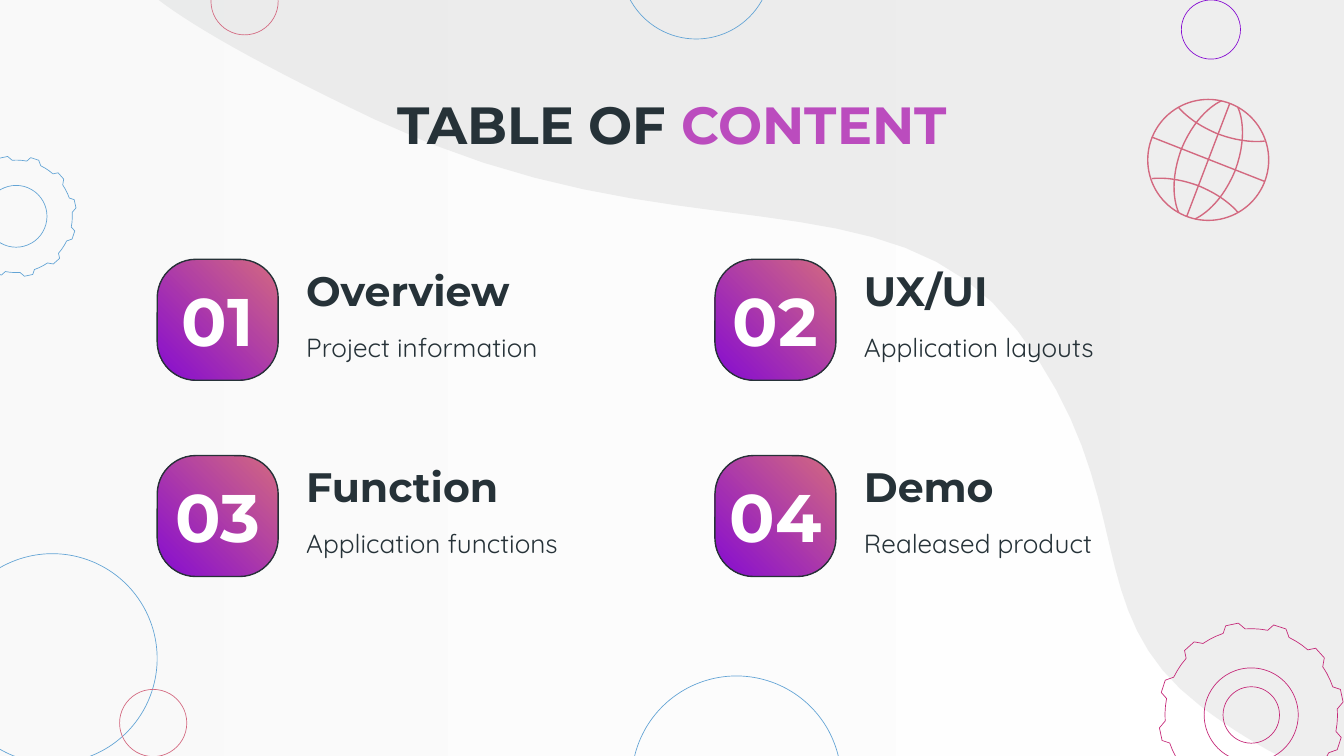
from math import cos, radians, sin

from lxml import etree
from pptx import Presentation
from pptx.dml.color import RGBColor
from pptx.enum.shapes import MSO_CONNECTOR, MSO_SHAPE
from pptx.enum.text import MSO_ANCHOR, MSO_AUTO_SIZE, PP_ALIGN
from pptx.oxml.ns import qn
from pptx.util import Inches, Pt

OVAL, RECT, ROUNDED = MSO_SHAPE.OVAL, MSO_SHAPE.RECTANGLE, MSO_SHAPE.ROUNDED_RECTANGLE
STRAIGHT = MSO_CONNECTOR.STRAIGHT
LEFT, CENTER = PP_ALIGN.LEFT, PP_ALIGN.CENTER
MIDDLE, NO_FIT = MSO_ANCHOR.MIDDLE, MSO_AUTO_SIZE.NONE

INK = RGBColor(0x26, 0x32, 0x38)
WHITE = RGBColor(0xFF, 0xFF, 0xFF)
PALE = RGBColor(0xF3, 0xF3, 0xF3)
GREY = RGBColor(0xD6, 0xD7, 0xD7)
ORCHID = RGBColor(0xBB, 0x4C, 0xBE)
BLUE = RGBColor(0x63, 0xA4, 0xD5)
PURPLE = RGBColor(0x86, 0x0C, 0xD1)
ROSE = RGBColor(0xD3, 0x69, 0x80)
MAGENTA = RGBColor(0xC5, 0x28, 0x78)

HEADING, BODY = "Montserrat", "Quicksand"
WIDTH = 10
HEIGHT = WIDTH * 9 / 16
THIN, MEDIUM = 0.36, 0.75
ALPHA = 41

TITLE = [("TABLE OF ", INK), ("CONTENT", ORCHID)]
TOPICS = [
    ("01", "Overview", "Project information"),
    ("02", "UX/UI", "Application layouts"),
    ("03", "Function", "Application functions"),
    ("04", "Demo", "Realeased product"),
]
COLUMNS, GRID_LEFT, GRID_TOP = 2, 1.17, 1.93
COLUMN_STEP, ROW_STEP = 4.15, 1.46
BADGE, TEXT_OFFSET, TEXT_WIDTH = 0.9, 1.01, 2.82

# centre x, centre y, radius, colour
CIRCLES = [
    (0.39, 4.9, 0.78, BLUE), (9.01, 0.22, 0.22, PURPLE),
    (1.82, 0.01, 0.25, ROSE), (5.18, -0.27, 0.56, BLUE),
    (5.48, 5.81, 0.78, BLUE), (1.14, 5.38, 0.25, ROSE),
]
# centre x, centre y, outer radius, radii of the inner rings, colour
GEARS = [
    (0.12, 1.61, 0.45, [0.23], BLUE),
    (9.31, 5.32, 0.69, [0.35, 0.21], MAGENTA),
]
TEETH, ROOT_SHARE = 12, 0.93
# degrees within one tooth, and whether the point lies on the tip
TOOTH = [(4, False), (8, True), (16, True), (19, False), (24, False), (29, False)]

# cubic curves: start, two controls, end
WAVE = [
    [(10.13, 5.88), (9.81, 5.78), (9.39, 5.6), (8.94, 5.26)],
    [(8.94, 5.26), (8, 4.55), (8.51, 3.69), (7.57, 2.46)],
    [(7.57, 2.46), (6.62, 1.23), (5.02, 1.95), (2.79, 0.89)],
    [(2.79, 0.89), (1.76, 0.4), (1.28, 0.1), (1.07, -0.09)],
]
GLOBE = (8.99, 1.19)
GLOBE_RADIUS = 0.45
GLOBE_AXES = [[(9.15, 0.77), (8.83, 1.61)], [(8.57, 1.02), (9.41, 1.35)]]
GLOBE_CURVES = [
    [[(8.77, 1.58), (8.77, 1.58), (8.68, 1.41), (8.79, 1.11)],
     [(8.79, 1.11), (8.91, 0.82), (9.09, 0.75), (9.09, 0.75)]],
    [[(9.21, 1.58), (9.16, 1.52), (9.06, 1.44), (8.91, 1.38)],
     [(8.91, 1.38), (8.77, 1.33), (8.65, 1.32), (8.57, 1.33)]],
]


def curve_points(curves, steps=16):
    """Return points along a chain of cubic curves."""
    points = [curves[0][0]]
    for curve in curves:
        for step in range(1, steps + 1):
            t = step / steps
            weights = ((1 - t) ** 3, 3 * t * (1 - t) ** 2, 3 * t * t * (1 - t), t ** 3)
            points.append(tuple(sum(w * p[axis] for w, p in zip(weights, curve))
                                for axis in (0, 1)))
    return points


def style(shape, line=None, width=THIN):
    """Leave the shape unfilled, with an outline only where a colour is given."""
    shape.shadow.inherit = False
    shape.fill.background()
    if line is None:
        shape.line.fill.background()
    else:
        shape.line.color.rgb = line
        shape.line.width = Pt(width)
    return shape


def add_shape(page, kind, left, top, width, height, line=None, weight=THIN):
    box = page.shapes.add_shape(kind, Inches(left), Inches(top), Inches(width), Inches(height))
    return style(box, line, weight)


def add_circle(page, x, y, radius, color, weight=THIN):
    add_shape(page, OVAL, x - radius, y - radius, 2 * radius, 2 * radius, color, weight)


def add_outline(page, points, line=None, weight=THIN, close=True):
    start, *rest = [(Inches(x), Inches(y)) for x, y in points]
    builder = page.shapes.build_freeform(*start, scale=1.0)
    builder.add_line_segments(rest, close=close)
    return style(builder.convert_to_shape(), line, weight)


def set_gradient(shape, colors, angle):
    shape.fill.gradient()
    shape.fill.gradient_angle = angle
    for stop, color in zip(shape.fill.gradient_stops, colors):
        stop.color.rgb = color


def set_fill_alpha(shape):
    properties = shape.element.spPr
    for kind in ("a:solidFill", "a:gradFill"):
        for fill in properties.findall(qn(kind)):
            for color in fill.iter(qn("a:srgbClr")):
                etree.SubElement(color, qn("a:alpha"), val=str(ALPHA * 1000))


def write(box, spans, size, font, bold=True, align=LEFT, wrap=True):
    frame = box.text_frame
    frame.auto_size = NO_FIT
    frame.word_wrap = wrap
    frame.vertical_anchor = MIDDLE
    frame.margin_left = frame.margin_right = Inches(0.1)
    frame.margin_top = frame.margin_bottom = Inches(0.1)
    para = frame.paragraphs[0]
    para.alignment = align
    for text, color in spans:
        span = para.add_run()
        span.text = text
        span.font.size, span.font.name, span.font.bold = Pt(size), font, bold
        span.font.color.rgb = color


def add_text(page, left, top, height, text, size, font, bold):
    box = page.shapes.add_textbox(Inches(left), Inches(top), Inches(TEXT_WIDTH), Inches(height))
    write(box, [(text, INK)], size, font, bold)


def add_background(page):
    wash = add_shape(page, RECT, 0, 0, WIDTH, HEIGHT)
    set_gradient(wash, (WHITE, PALE), 180)
    set_fill_alpha(wash)
    corner = [(1.07, -0.25), (10.28, -0.25), (10.28, 5.88)]
    wave = add_outline(page, corner + curve_points(WAVE))
    wave.fill.solid()
    wave.fill.fore_color.rgb = GREY
    set_fill_alpha(wave)


def add_gear(page, x, y, radius, rings, color):
    points = []
    for tooth in range(TEETH):
        for degrees, on_tip in TOOTH:
            angle = radians(tooth * 360 / TEETH + degrees)
            reach = radius if on_tip else radius * ROOT_SHARE
            points.append((x + reach * cos(angle), y - reach * sin(angle)))
    add_outline(page, points, color)
    for ring in rings:
        add_circle(page, x, y, ring, color)


def add_globe(page):
    add_circle(page, *GLOBE, GLOBE_RADIUS, ROSE, MEDIUM)
    for start, end in GLOBE_AXES:
        axis = page.shapes.add_connector(STRAIGHT, *map(Inches, start + end))
        axis.line.color.rgb = ROSE
        axis.line.width = Pt(MEDIUM)
        etree.SubElement(axis.element.spPr, qn("a:effectLst"))
    for curves in GLOBE_CURVES:
        points = curve_points(curves)
        mirrored = [(2 * GLOBE[0] - x, 2 * GLOBE[1] - y) for x, y in points]
        for side in (points, mirrored):
            add_outline(page, side, ROSE, MEDIUM, close=False)


def add_topic(page, index, number, name, detail):
    row, column = divmod(index, COLUMNS)
    left, top = GRID_LEFT + column * COLUMN_STEP, GRID_TOP + row * ROW_STEP
    badge = add_shape(page, ROUNDED, left, top, BADGE, BADGE, INK, MEDIUM)
    badge.adjustments[0] = 0.32
    set_gradient(badge, (ROSE, PURPLE), 225)
    write(badge, [(number, WHITE)], 36, HEADING, align=CENTER, wrap=False)
    add_text(page, left + TEXT_OFFSET, top - 0.01, 0.48, name, 22, HEADING, True)
    add_text(page, left + TEXT_OFFSET, top + 0.39, 0.52, detail, 14, BODY, False)


def main():
    deck = Presentation()
    deck.slide_width, deck.slide_height = Inches(WIDTH), Inches(HEIGHT)
    page = deck.slides.add_slide(deck.slide_layouts[5])
    add_background(page)
    for circle in CIRCLES:
        add_circle(page, *circle)
    for gear in GEARS:
        add_gear(page, *gear)
    for index, topic in enumerate(TOPICS):
        add_topic(page, index, *topic)
    add_globe(page)

    title = page.shapes.title
    title.left, title.top = Inches(0.78), Inches(0.72)
    title.width, title.height = Inches(8.44), Inches(0.4)
    write(title, TITLE, 28, HEADING, align=CENTER)
    title.element.getparent().append(title.element)  # bring in front of the wave
    deck.save("out.pptx")


if __name__ == "__main__":
    main()
